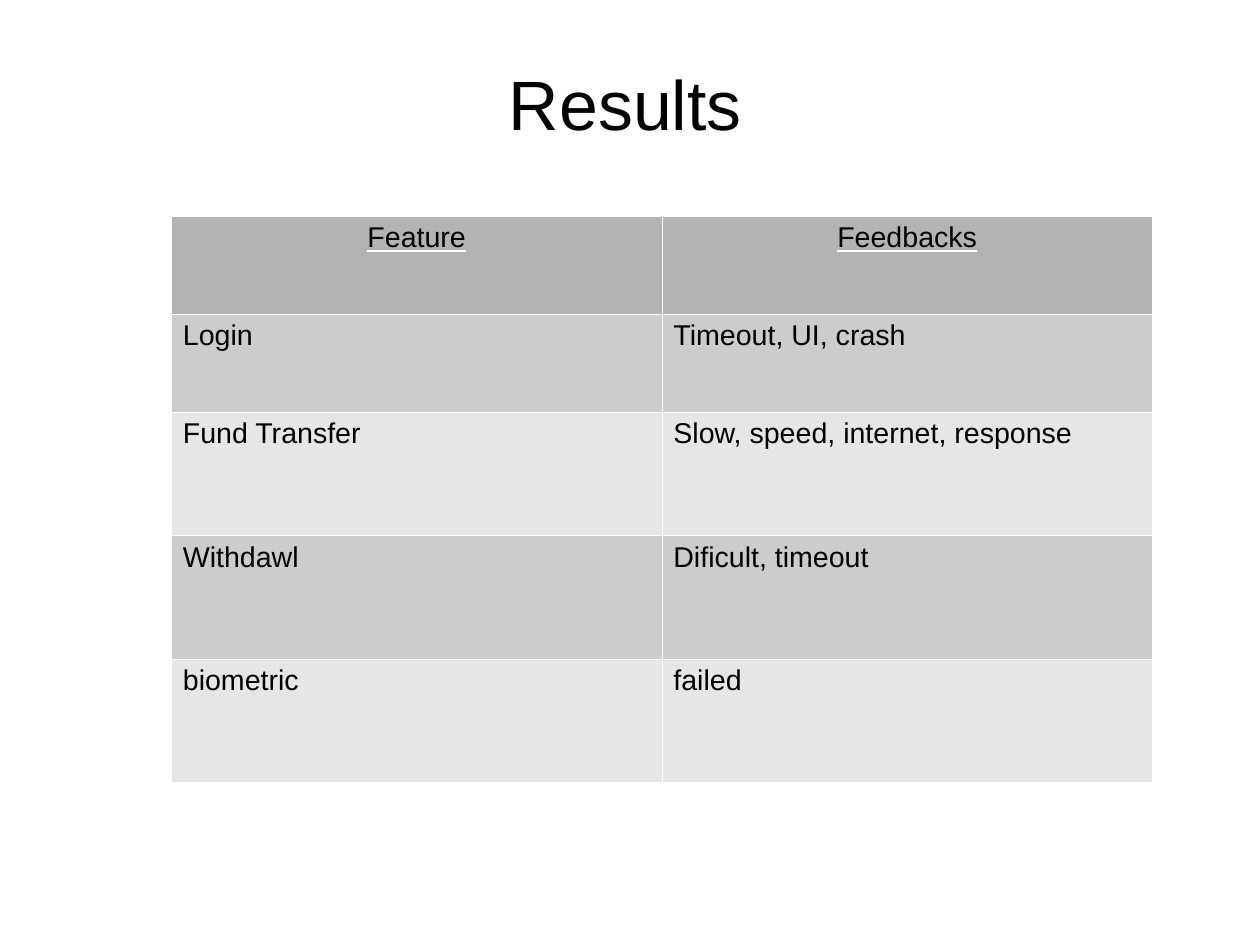
from lxml.etree import SubElement
from pptx import Presentation
from pptx.dml.color import RGBColor
from pptx.enum.text import MSO_ANCHOR as Anchor, PP_ALIGN as Align
from pptx.oxml.ns import qn
from pptx.util import Cm, Pt

BLACK = RGBColor(0x00, 0x00, 0x00)
WHITE = RGBColor(0xFF, 0xFF, 0xFF)
HEADER_GREY = RGBColor(0xB3, 0xB3, 0xB3)
BAND_GREYS = (RGBColor(0xCC, 0xCC, 0xCC), RGBColor(0xE6, 0xE6, 0xE6))

TITLE_FONT = {"name": "Arial", "size": Pt(44), "bold": False, "underline": True}
BODY_FONT = {"name": "Arial", "size": Pt(18), "bold": False, "underline": False}
HEADER_FONT = {**BODY_FONT, "underline": True}
TITLE_FRAME = {"margin_left": 0, "margin_right": 0, "margin_top": 0,
               "margin_bottom": 0, "vertical_anchor": Anchor.MIDDLE,
               "word_wrap": True}
TITLE_PLACE = {"left": Cm(1.3), "top": Cm(1.4), "width": Cm(25.2), "height": Cm(1.75)}

FEEDBACK = (
    ("Feature", "Feedbacks"),
    ("Login", "Timeout, UI, crash"),
    ("Fund Transfer", "Slow, speed, internet, response"),
    ("Withdawl", "Dificult, timeout"),
    ("biometric", "failed"),
)
COLUMN_WIDTH = Cm(10.9)
ROW_HEIGHTS = [Cm(2.18)] * 2 + [Cm(2.74)] * 3


def apply(target, values):
    for key, value in values.items():
        setattr(target, key, value)


def add_solid_fill(parent, color):
    solid = SubElement(parent, qn("a:solidFill"))
    SubElement(solid, qn("a:srgbClr"), val=str(color))


def write(frame, wording, font, alignment):
    paragraph = frame.paragraphs[0]
    paragraph.alignment = alignment
    run = paragraph.add_run()
    run.text = wording
    apply(run.font, font)
    run.font.color.rgb = BLACK
    if font["underline"]:
        properties = run._r.get_or_add_rPr()
        underline_fill = SubElement(properties, qn("a:uFill"))
        add_solid_fill(underline_fill, WHITE)
        properties.find(qn("a:latin")).addprevious(underline_fill)


def add_borders(cell):
    properties = cell._tc.get_or_add_tcPr()
    for position, side in enumerate(("a:lnL", "a:lnR", "a:lnT", "a:lnB")):
        border = SubElement(properties, qn(side), w=str(Pt(0.06)))
        add_solid_fill(border, WHITE)
        properties.insert(position, border)


def add_title(slide, wording):
    title = slide.shapes.title
    apply(title, TITLE_PLACE)
    apply(title.text_frame, TITLE_FRAME)
    write(title.text_frame, wording, TITLE_FONT, Align.CENTER)


def add_feedback_table(slide):
    column_count = len(FEEDBACK[0])
    table = slide.shapes.add_table(
        len(FEEDBACK), column_count, Cm(3.81), Cm(4.8),
        COLUMN_WIDTH * column_count, sum(ROW_HEIGHTS)).table
    for column in table.columns:
        column.width = COLUMN_WIDTH
    for index, (row, height, entries) in enumerate(zip(table.rows, ROW_HEIGHTS, FEEDBACK)):
        row.height = height
        is_header = index == 0
        shade = HEADER_GREY if is_header else BAND_GREYS[(index - 1) % 2]
        font = HEADER_FONT if is_header else BODY_FONT
        alignment = Align.CENTER if is_header else Align.LEFT
        for cell, entry in zip(row.cells, entries):
            cell.fill.solid()
            cell.fill.fore_color.rgb = shade
            add_borders(cell)
            write(cell.text_frame, entry, font, alignment)


def main():
    deck = Presentation()
    apply(deck, {"slide_width": Cm(28), "slide_height": Cm(21)})
    title_only = deck.slide_layouts.get_by_name("Title Only")
    slide = deck.slides.add_slide(title_only)
    add_feedback_table(slide)
    add_title(slide, "Results")
    deck.save("out.pptx")


main()
